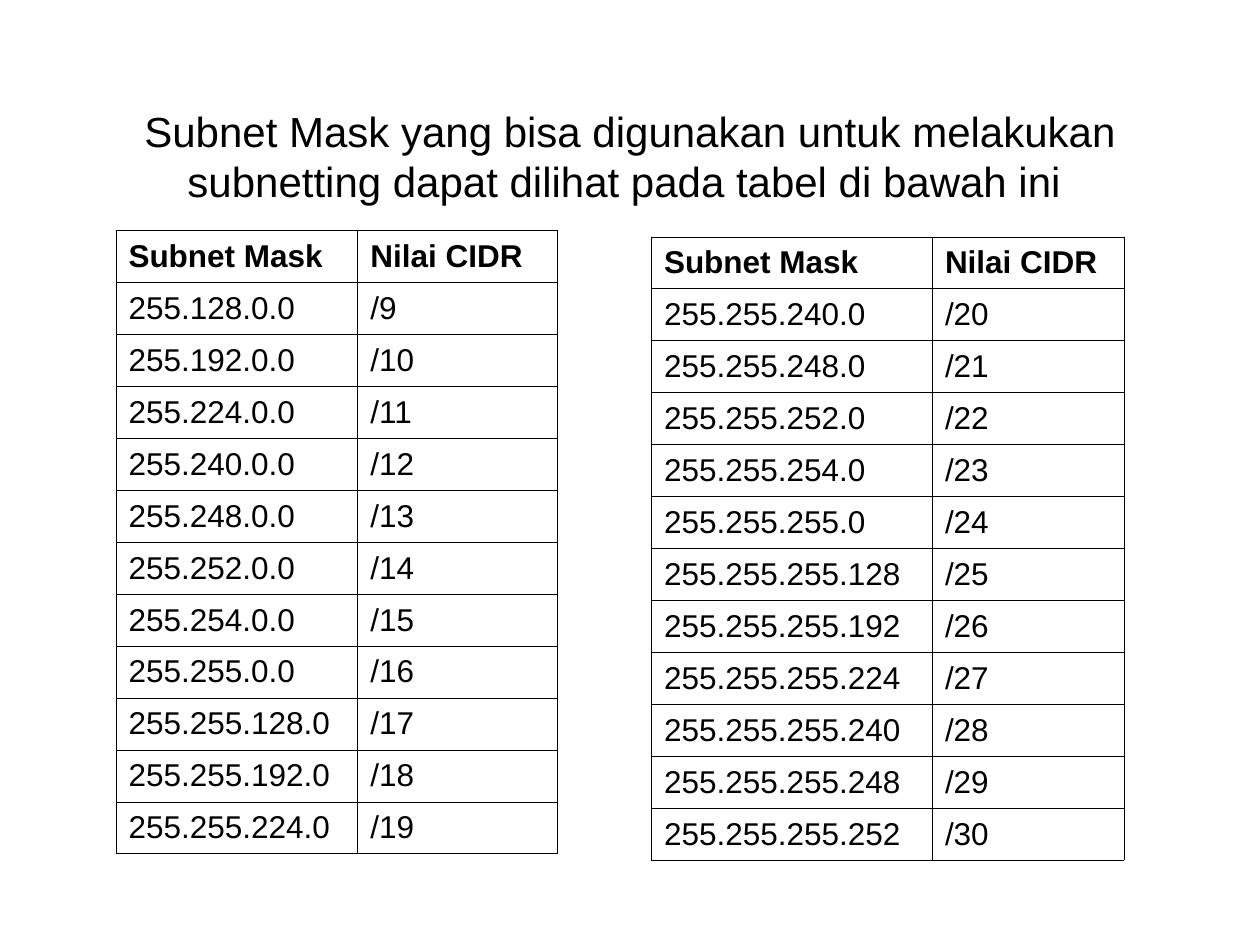
import pptx
import pptx.dml.color
import pptx.enum.text
import pptx.oxml
import pptx.oxml.ns
import pptx.util

Inches, Pt = pptx.util.Inches, pptx.util.Pt
BLACK = pptx.dml.color.RGBColor(0x00, 0x00, 0x00)
MIDDLE = pptx.enum.text.MSO_ANCHOR.MIDDLE

# Content
TITLE = ("Subnet Mask yang bisa digunakan untuk melakukan "
         "subnetting dapat dilihat pada tabel di bawah ini ")
HEADER = ("Subnet Mask", "Nilai CIDR")
TABLES = [
    {"left": 0.92, "top": 1.83, "columns": (1.92, 1.58), "first_cidr": 9,
     "masks": ["255.128.0.0", "255.192.0.0", "255.224.0.0", "255.240.0.0",
               "255.248.0.0", "255.252.0.0", "255.254.0.0", "255.255.0.0",
               "255.255.128.0", "255.255.192.0", "255.255.224.0"]},
    {"left": 5.17, "top": 1.88, "columns": (2.23, 1.52), "first_cidr": 20,
     "masks": ["255.255.240.0", "255.255.248.0", "255.255.252.0",
               "255.255.254.0", "255.255.255.0", "255.255.255.128",
               "255.255.255.192", "255.255.255.224", "255.255.255.240",
               "255.255.255.248", "255.255.255.252"]},
]
TABLE_HEIGHT = 4.95
BORDER_WIDTH = Pt(0.45)
HANGING_INDENT = Inches(0.38)

# Text formats
TITLE_FORMAT = {"name": "Arial", "size": Pt(24), "bold": False}
HEADER_FORMAT = {"name": "Arial", "size": Pt(18), "bold": True}
BODY_FORMAT = {**HEADER_FORMAT, "bold": False}


def write(para, text, font_format):
    span = para.add_run()
    span.text = text
    span.font.color.rgb = BLACK
    for name, value in font_format.items():
        setattr(span.font, name, value)


def add_borders(cell):
    properties = cell._tc.get_or_add_tcPr()
    for side in ("lnL", "lnR", "lnT", "lnB"):
        properties.append(pptx.oxml.parse_xml(
            f'<a:{side} {pptx.oxml.ns.nsdecls("a")} w="{BORDER_WIDTH}">'
            f'<a:solidFill><a:srgbClr val="{BLACK}"/></a:solidFill></a:{side}>'))


def add_mask_table(page, left, top, columns, first_cidr, masks):
    rows = [HEADER] + [(mask, f"/{cidr}")
                       for cidr, mask in enumerate(masks, first_cidr)]
    table = page.shapes.add_table(
        len(rows), len(columns), Inches(left), Inches(top),
        Inches(sum(columns)), Inches(TABLE_HEIGHT)).table
    table.first_row = table.horz_banding = False
    for column, width in zip(table.columns, columns):
        column.width = Inches(width)
    for row_number, texts in enumerate(rows):
        table.rows[row_number].height = Inches(TABLE_HEIGHT / len(rows))
        for column_number, text in enumerate(texts):
            cell = table.cell(row_number, column_number)
            add_borders(cell)
            cell.fill.background()
            cell.vertical_anchor = MIDDLE
            para = cell.text_frame.paragraphs[0]
            write(para, text, BODY_FORMAT if row_number else HEADER_FORMAT)
            indents = para._p.get_or_add_pPr()
            indents.set("marL", str(HANGING_INDENT))
            indents.set("indent", str(-HANGING_INDENT))


deck = pptx.Presentation()
deck.slide_width, deck.slide_height = Inches(10), Inches(7.5)
page = deck.slides.add_slide(deck.slide_layouts[6])

# Title
box = page.shapes.add_textbox(Inches(0.5), Inches(0.92), Inches(9), Inches(0.63))
frame = box.text_frame
frame.word_wrap = True
frame.vertical_anchor = MIDDLE
frame.paragraphs[0].alignment = pptx.enum.text.PP_ALIGN.CENTER
write(frame.paragraphs[0], TITLE, TITLE_FORMAT)

# Subnet mask tables
for mask_table in TABLES:
    add_mask_table(page, **mask_table)

deck.save("out.pptx")
